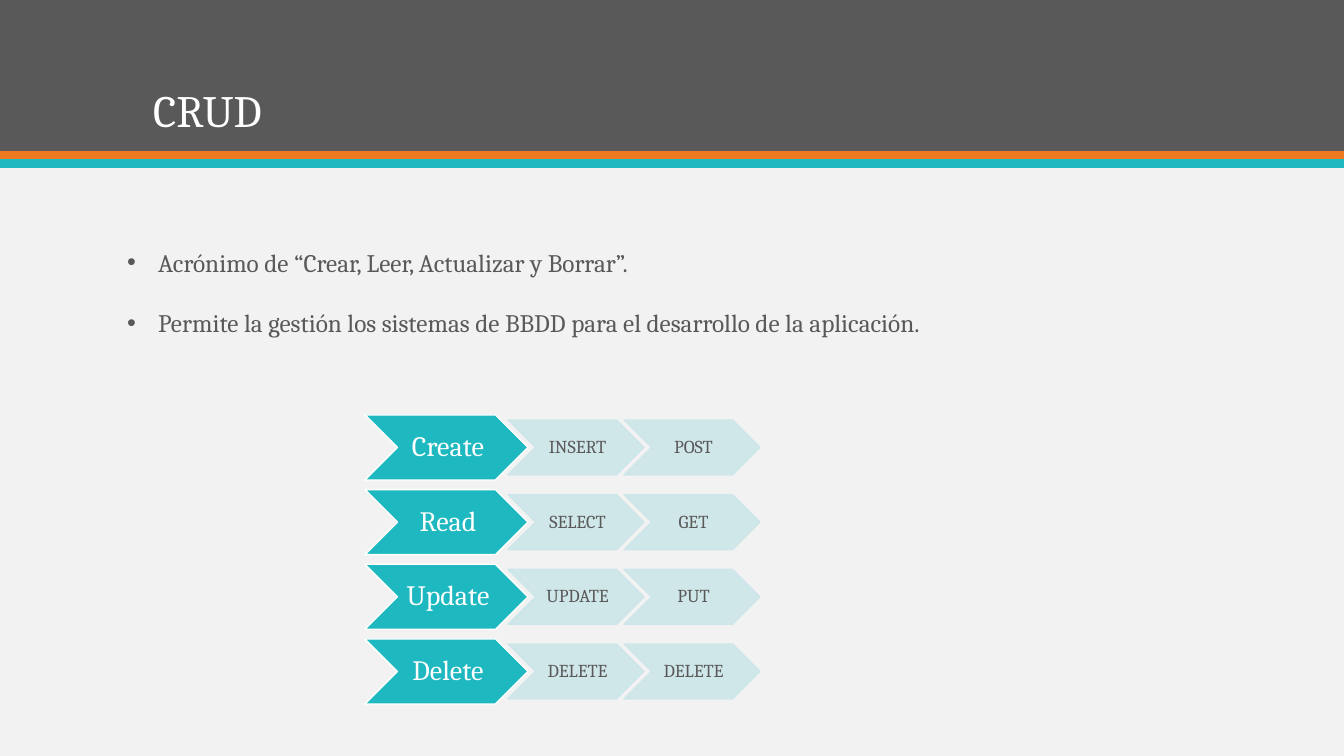
import lxml.etree
import pptx
import pptx.dml.color
import pptx.enum.shapes
import pptx.enum.text
import pptx.oxml.ns
import pptx.util
from dataclasses import dataclass

TITLE = "CRUD"
BULLETS = [
    "Acrónimo de “Crear, Leer, Actualizar y Borrar”.",
    "Permite la gestión los sistemas de BBDD para el desarrollo de la aplicación.",
]
OPERATIONS = [
    ("Create", "INSERT", "POST"),
    ("Read", "SELECT", "GET"),
    ("Update", "UPDATE", "PUT"),
    ("Delete", "DELETE", "DELETE"),
]


@dataclass(frozen=True)
class Theme:
    font: str = "Cambria"
    background: str = "F2F2F2"
    dark: str = "595959"
    orange: str = "EF7920"
    teal: str = "1EB8C1"
    pale: str = "CDE6E9"
    white: str = "FFFFFF"
    title_size: int = 32
    body_size: int = 18
    operation_size: int = 20
    command_size: int = 13


THEME = Theme()
WIDTH, HEIGHT = 1344, 756
BANDS = [(0, 151, THEME.dark), (151, 9, THEME.orange), (159, 9, THEME.teal)]
TITLE_BOX = (143, 28, 1058, 114)
BODY_BOX = (117, 242, 891, 102)
BULLET_INDENT = 31
FIRST_TOP, LAST_TOP = 415, 639
OPERATION_LEFT, OPERATION_WIDTH, OPERATION_HEIGHT = 365, 163, 65
COMMAND_LEFT, COMMAND_WIDTH, COMMAND_HEIGHT = 508, 136, 55
COMMAND_STEP = 116

ANCHOR = pptx.enum.text.MSO_ANCHOR
ALIGN = pptx.enum.text.PP_ALIGN
SHAPE = pptx.enum.shapes.MSO_SHAPE
Pt = pptx.util.Pt
qn = pptx.oxml.ns.qn


def px(length):
    return round(length * 914400 / 100.8)


def rgb(color):
    return pptx.dml.color.RGBColor.from_string(color)


def set_values(target, values):
    for name, value in values.items():
        setattr(target, name, value)


def place(shape, box):
    set_values(shape, dict(zip(("left", "top", "width", "height"), map(px, box))))


def write(shape, lines, size, color, frame_format, paragraph_format):
    frame = shape.text_frame
    frame.text = "\n".join(lines)
    set_values(frame, {"word_wrap": True, "auto_size": pptx.enum.text.MSO_AUTO_SIZE.NONE})
    set_values(frame, frame_format)
    for paragraph in frame.paragraphs:
        set_values(paragraph, paragraph_format)
        for run in paragraph.runs:
            set_values(run.font, {"name": THEME.font, "size": Pt(size)})
            run.font.color.rgb = rgb(color)


def add_block(slide, kind, box, fill, line=None, alpha=None):
    shape = slide.shapes.add_shape(kind, *map(px, box))
    shape.shadow.inherit = False
    shape.fill.solid()
    shape.fill.fore_color.rgb = rgb(fill)
    if line:
        shape.line.color.rgb = rgb(line)
        shape.line.width = Pt(1)
    else:
        shape.line.fill.background()
    if alpha:
        for color in shape.element.spPr.iter(qn("a:srgbClr")):
            lxml.etree.SubElement(color, qn("a:alpha"), val=str(alpha * 1000))
    return shape


def add_chevron(slide, box, text, size, color, fill, line, alpha=None):
    shape = add_block(slide, SHAPE.CHEVRON, box, fill, line, alpha)
    frame_format = {
        "vertical_anchor": ANCHOR.MIDDLE,
        "margin_left": px(3),
        "margin_right": 0,
        "margin_top": px(1),
        "margin_bottom": px(1),
    }
    write(shape, [text], size, color, frame_format,
          {"alignment": ALIGN.CENTER, "line_spacing": 0.9})


def add_bands(slide):
    for index, (top, height, color) in enumerate(BANDS):
        band = add_block(slide, SHAPE.RECTANGLE, (0, top, WIDTH, height), color)
        slide.shapes.element.insert(2 + index, band.element)


def add_texts(slide):
    title, body = slide.placeholders
    place(title, TITLE_BOX)
    write(title, [TITLE], THEME.title_size, THEME.white,
          {"vertical_anchor": ANCHOR.BOTTOM},
          {"alignment": ALIGN.LEFT, "line_spacing": 0.9})
    place(body, BODY_BOX)
    write(body, BULLETS, THEME.body_size, THEME.dark,
          {"vertical_anchor": ANCHOR.TOP}, {"space_before": Pt(0)})
    body.text_frame.paragraphs[1].space_before = Pt(21.5)
    for paragraph in body.text_frame.paragraphs:
        properties = paragraph._p.get_or_add_pPr()
        properties.set("marL", str(px(BULLET_INDENT)))
        properties.set("indent", str(-px(BULLET_INDENT)))
        lxml.etree.SubElement(properties, qn("a:buFont"), typeface="Arial")
        lxml.etree.SubElement(properties, qn("a:buChar"), char="•")


def add_operations(slide):
    step = (LAST_TOP - FIRST_TOP) / (len(OPERATIONS) - 1)
    for row, (operation, *commands) in enumerate(OPERATIONS):
        top = FIRST_TOP + row * step
        add_chevron(slide, (OPERATION_LEFT, top, OPERATION_WIDTH, OPERATION_HEIGHT),
                    operation, THEME.operation_size, THEME.white, THEME.teal, THEME.white)
        command_top = top + (OPERATION_HEIGHT - COMMAND_HEIGHT) / 2
        for column, command in enumerate(commands):
            left = COMMAND_LEFT + column * COMMAND_STEP
            add_chevron(slide, (left, command_top, COMMAND_WIDTH, COMMAND_HEIGHT),
                        command, THEME.command_size, THEME.dark, THEME.pale, THEME.pale, 90)


def main():
    presentation = pptx.Presentation()
    set_values(presentation, {"slide_width": px(WIDTH), "slide_height": px(HEIGHT)})
    slide = presentation.slides.add_slide(presentation.slide_layouts[1])
    slide.background.fill.solid()
    slide.background.fill.fore_color.rgb = rgb(THEME.background)
    add_bands(slide)
    add_texts(slide)
    add_operations(slide)
    presentation.save("out.pptx")


if __name__ == "__main__":
    main()
